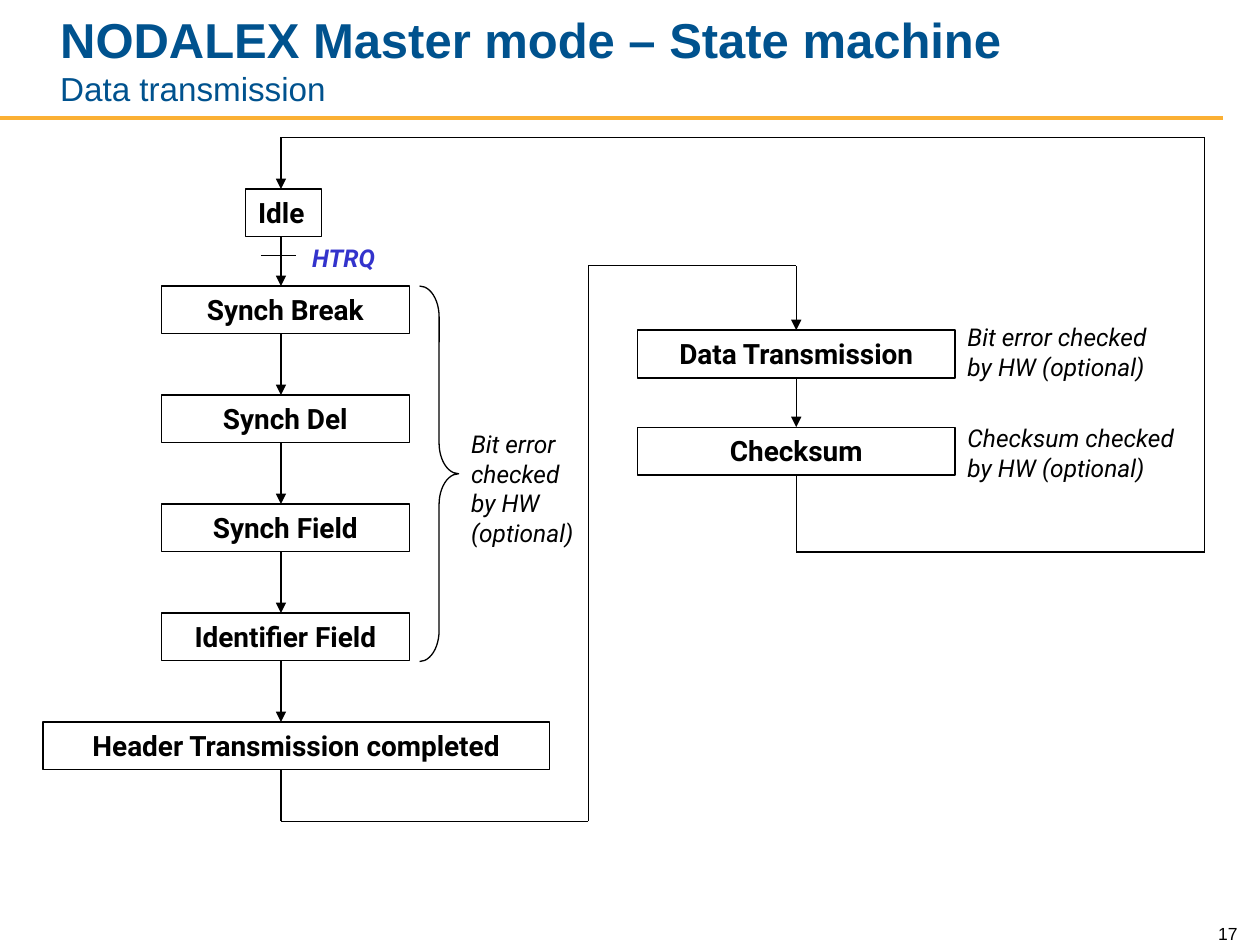
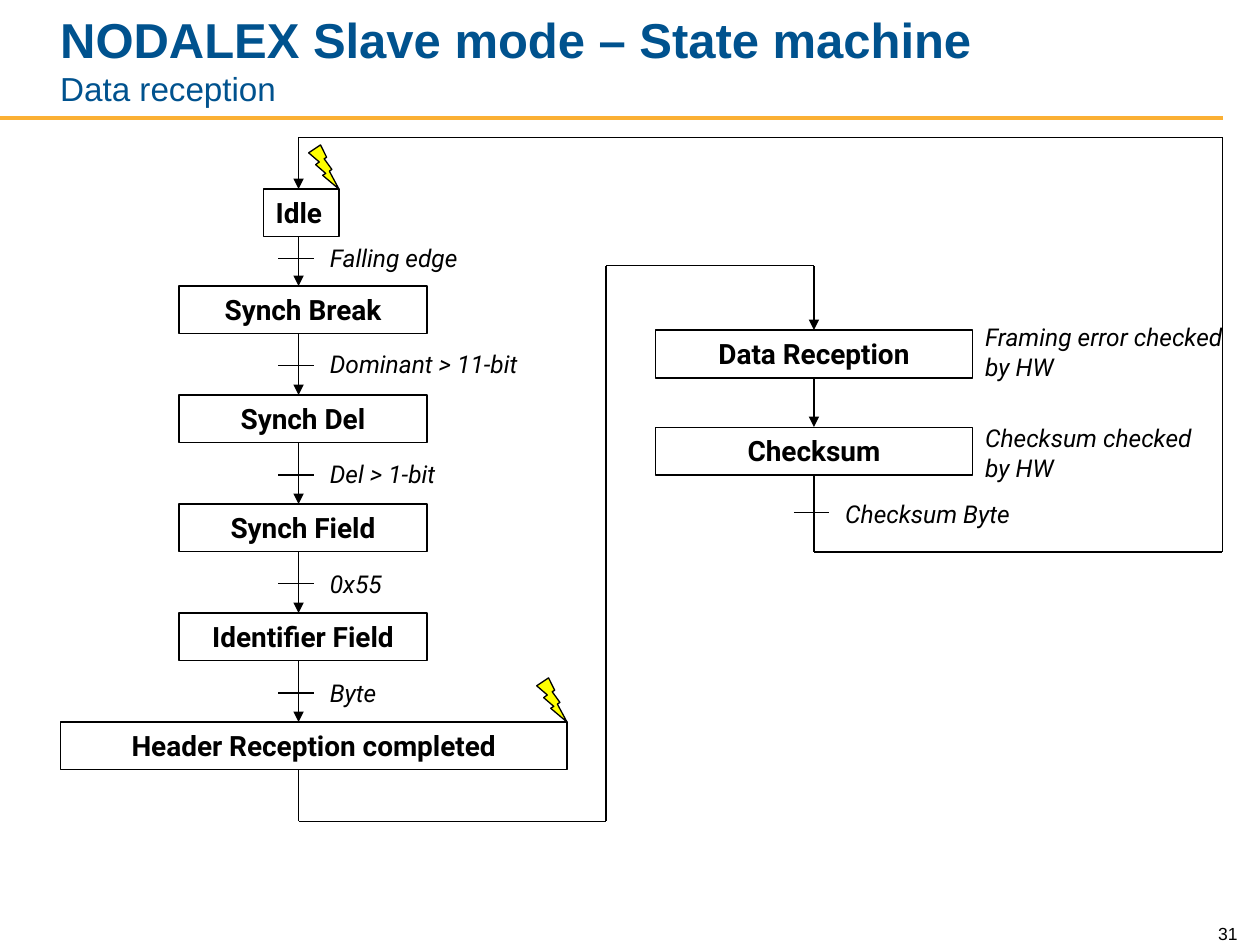
"""Build the NODALEX master and slave state machine slides."""
from itertools import pairwise

from lxml import etree
from pptx import Presentation
from pptx.dml.color import RGBColor
from pptx.enum.shapes import MSO_CONNECTOR, MSO_SHAPE
from pptx.enum.text import MSO_ANCHOR, MSO_AUTO_SIZE, PP_ALIGN
from pptx.oxml.ns import qn
from pptx.util import Inches, Pt

STRAIGHT = MSO_CONNECTOR.STRAIGHT
RECTANGLE = MSO_SHAPE.RECTANGLE
BRACE = MSO_SHAPE.RIGHT_BRACE
BOLT = MSO_SHAPE.LIGHTNING_BOLT
TOP, BOTTOM = MSO_ANCHOR.TOP, MSO_ANCHOR.BOTTOM
LEFT, CENTER, RIGHT = PP_ALIGN.LEFT, PP_ALIGN.CENTER, PP_ALIGN.RIGHT
GROW, FIXED = MSO_AUTO_SIZE.SHAPE_TO_FIT_TEXT, MSO_AUTO_SIZE.NONE

BLACK = RGBColor(0, 0, 0)
BLUE = RGBColor(0x00, 0x52, 0x8E)
THEME = {
    "band": RGBColor(0xFB, 0xB0, 0x34),
    "bolt": RGBColor(0xFF, 0xFF, 0x00),
    "line": BLACK,
    "title": (BLUE, {"name": "Arial", "size": Pt(28), "bold": True}),
    "subtitle": (BLUE, {"name": "Arial", "size": Pt(19), "bold": False}),
    "number": (BLACK, {"name": "Arial", "size": Pt(10)}),
    "state": (BLACK, {"name": "Roboto", "size": Pt(16), "bold": True}),
    "note": (BLACK, {"name": "Roboto", "size": Pt(14), "italic": True}),
    "request": (RGBColor(0x33, 0x33, 0xCC),
                {"name": "Roboto", "size": Pt(14), "bold": True, "italic": True}),
}

BOX_HEIGHT = 0.38
STATE_TOPS = [2.27 + 0.865 * row for row in range(5)]
HEADER_X, DATA_X, RETURN_X, BRIDGE_X = 2.23, 6.32, 9.56, 4.67
IDLE_TOP, DATA_TOP, CHECKSUM_TOP = 1.5, 2.62, 3.39
LOOP_TOP, LOOP_BOTTOM, BRIDGE_TOP, BRIDGE_BOTTOM = 1.09, 4.38, 2.11, 6.52

MACHINES = [
    {
        "title": "NODALEX Master mode – State machine",
        "subtitle": "Data transmission",
        "number": "17",
        "shift": 0,
        "action": "Transmission",
        "notes": [
            (7.58, 2.51, 1.81, 0.57, "Bit error checked by HW (optional)"),
            (7.58, 3.31, 1.97, 0.57, "Checksum checked by HW (optional)"),
            (3.64, 3.36, 1.1, 1.03, "Bit error checked by HW (optional)"),
        ],
        "conditions": [(HEADER_X, 2.03, 1.88, "HTRQ", "request")],
        "braces": [(3.33, 2.27, 0.31, 2.98)],
        "bolts": [],
    },
    {
        "title": "NODALEX Slave mode – State machine",
        "subtitle": "Data reception",
        "number": "31",
        "shift": 0.14,
        "action": "Reception",
        "notes": [
            (7.58, 2.51, 2.13, 0.57, "Framing error checked by HW"),
            (7.58, 3.31, 1.97, 0.57, "Checksum checked by HW"),
        ],
        "conditions": [
            (HEADER_X, 2.05, 1.88, "Falling edge", "note"),
            (HEADER_X, 2.9, 2.72, "Dominant > 11-bit", "note"),
            (HEADER_X, 3.77, 3.59, "Del > 1-bit", "note"),
            (HEADER_X, 4.63, 4.47, "0x55", "note"),
            (HEADER_X, 5.5, 5.33, "Byte", "note"),
            (DATA_X, 4.07, 3.91, "Checksum Byte", "note"),
        ],
        "braces": [],
        "bolts": [(4.12, 5.38), (2.31, 1.15)],
    },
]


def write(shape, lines, align=LEFT, anchor=TOP, fit=GROW):
    frame = shape.text_frame
    frame_format = {"word_wrap": True, "auto_size": fit, "vertical_anchor": anchor}
    for name, value in frame_format.items():
        setattr(frame, name, value)
    paragraph = frame.paragraphs[0]
    paragraph.alignment = align
    for index, (text, style) in enumerate(lines):
        if index:
            paragraph.add_line_break()
        run = paragraph.add_run()
        run.text = text
        color, font_format = THEME[style]
        run.font.color.rgb = color
        for name, value in font_format.items():
            setattr(run.font, name, value)


def draw_route(slide, points, arrow=False, color=THEME["line"], width=0.75):
    for start, end in pairwise(points):
        segment = slide.shapes.add_connector(
            STRAIGHT, *(Inches(value) for value in (*start, *end)))
        segment.line.color.rgb = color
        segment.line.width = Pt(width)
        properties = segment.line._get_or_add_ln()
        if arrow and end == points[-1]:
            etree.SubElement(properties, qn("a:tailEnd"), type="triangle")
        etree.SubElement(properties.getparent(), qn("a:effectLst"))


deck = Presentation()
deck.slide_width, deck.slide_height = Inches(10), Inches(7.5)
blank = deck.slide_layouts[6]

for machine in MACHINES:
    slide = deck.slides.add_slide(blank)
    shapes = slide.shapes
    shift = machine["shift"]

    draw_route(slide, [(0, 0.94), (9.71, 0.94)], color=THEME["band"], width=2.25)
    number = shapes.add_textbox(Inches(9.42), Inches(7.24), Inches(0.5), Inches(0.3))
    write(number, [(machine["number"], "number")], RIGHT, BOTTOM, FIXED)
    heading = shapes.add_textbox(Inches(0.38), Inches(0.18), Inches(8.16), Inches(0.73))
    write(heading, [(machine["title"], "title"), (machine["subtitle"], "subtitle")],
          LEFT, BOTTOM, FIXED)

    header_names = ["Synch Break", "Synch Del", "Synch Field", "Identifier Field"]
    states = [(1.95, IDLE_TOP, 0.6, "Idle", LEFT)]
    states += [(1.28, top, 1.97, name, CENTER)
               for top, name in zip(STATE_TOPS, header_names)]
    states += [
        (0.34, STATE_TOPS[-1], 4.02, f"Header {machine['action']} completed", CENTER),
        (5.06, DATA_TOP, 2.52, f"Data {machine['action']}", CENTER),
        (5.06, CHECKSUM_TOP, 2.52, "Checksum", CENTER),
    ]
    outlines = [(RECTANGLE, left, top, width, BOX_HEIGHT, name, align)
                for left, top, width, name, align in states]
    outlines += [(BRACE, *place, "", LEFT) for place in machine["braces"]]
    outlines += [(BOLT, *place, 0.24, 0.35, "", LEFT) for place in machine["bolts"]]
    for kind, left, top, width, height, name, align in outlines:
        outline = shapes.add_shape(kind, Inches(left + shift), Inches(top),
                                   Inches(width), Inches(height))
        outline.shadow.inherit = False
        outline.line.color.rgb = THEME["line"]
        outline.line.width = Pt(0.75)
        if kind == BOLT:
            outline.fill.solid()
            outline.fill.fore_color.rgb = THEME["bolt"]
        else:
            outline.fill.background()
        if kind == BRACE:
            outline.adjustments[0] = 0.79
        if name:
            write(outline, [(name, "state")], align)

    routes = [[(HEADER_X, upper + BOX_HEIGHT), (HEADER_X, lower)]
              for upper, lower in pairwise([IDLE_TOP, *STATE_TOPS])]
    routes += [
        [(HEADER_X, STATE_TOPS[-1] + BOX_HEIGHT), (HEADER_X, BRIDGE_BOTTOM),
         (BRIDGE_X, BRIDGE_BOTTOM), (BRIDGE_X, BRIDGE_TOP),
         (DATA_X, BRIDGE_TOP), (DATA_X, DATA_TOP)],
        [(DATA_X, DATA_TOP + BOX_HEIGHT), (DATA_X, CHECKSUM_TOP)],
        [(DATA_X, CHECKSUM_TOP + BOX_HEIGHT), (DATA_X, LOOP_BOTTOM),
         (RETURN_X, LOOP_BOTTOM), (RETURN_X, LOOP_TOP),
         (HEADER_X, LOOP_TOP), (HEADER_X, IDLE_TOP)],
    ]
    for route in routes:
        draw_route(slide, [(x + shift, y) for x, y in route], arrow=True)

    labels = [(*note, "note") for note in machine["notes"]]
    for x, tick_y, label_top, condition, style in machine["conditions"]:
        draw_route(slide, [(x + shift - 0.16, tick_y), (x + shift + 0.12, tick_y)])
        labels.append((x + 0.15, label_top, 1.97, 0.33, condition, style))
    for left, top, width, height, text, style in labels:
        label = shapes.add_textbox(Inches(left + shift), Inches(top),
                                   Inches(width), Inches(height))
        write(label, [(text, style)])

deck.save("out.pptx")
